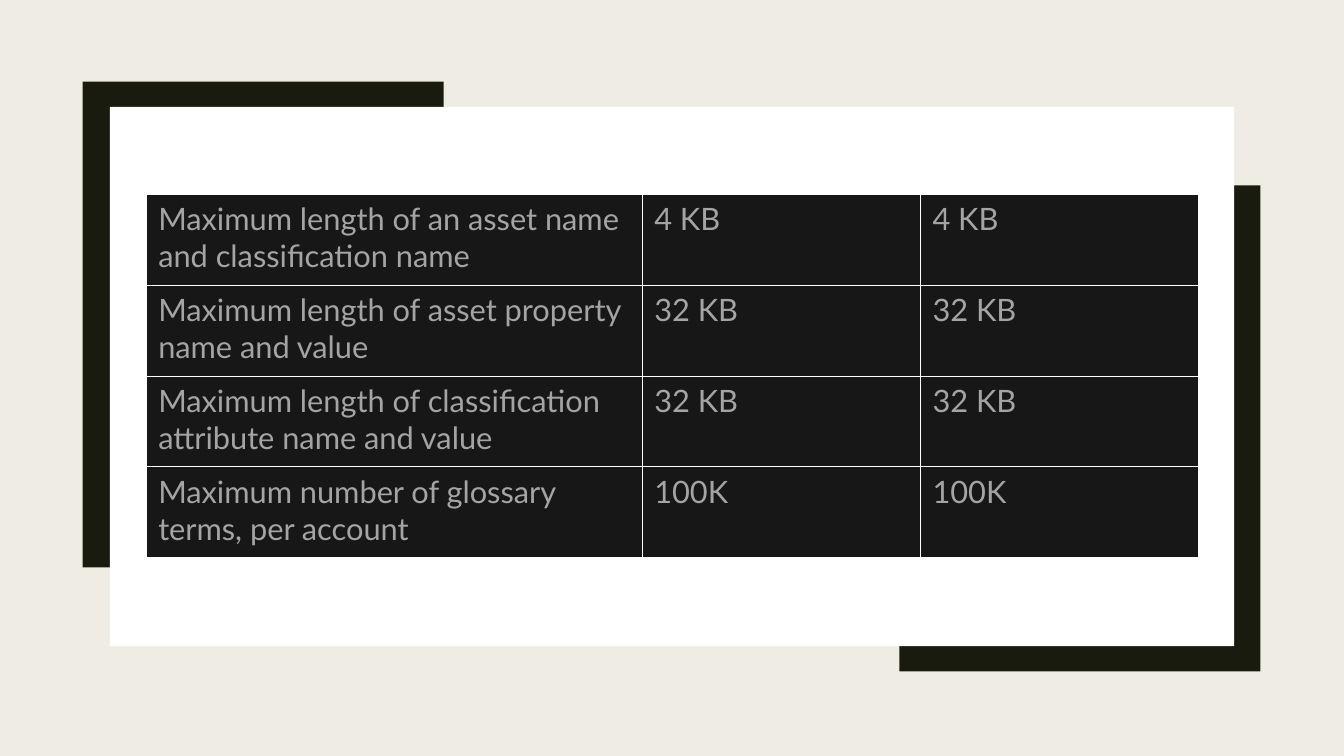
import pptx
import pptx.dml.color
import pptx.enum.shapes
import pptx.util
from lxml import etree
from pptx.oxml.ns import qn

Inches = pptx.util.Inches
Pt = pptx.util.Pt

SAND, INK, WHITE = "EFEDE3", "191B0E", "FFFFFF"
CELL, GREY = "171717", "A4A4A4"
LIMITS = [
    ("Maximum length of an asset name and classification name", "4 KB", "4 KB"),
    ("Maximum length of asset property name and value", "32 KB", "32 KB"),
    ("Maximum length of classification attribute name and value", "32 KB", "32 KB"),
    ("Maximum number of glossary terms, per account", "100K", "100K"),
]
COLUMN_SHARES = (4.92, 2.76, 2.76)


def paint(fill, colour):
    fill.solid()
    fill.fore_color.rgb = pptx.dml.color.RGBColor.from_string(colour)


def finish(sp, colour):
    sp.shadow.inherit = False
    paint(sp.fill, colour)
    sp.line.fill.background()


def add_bracket(s, x, y, direction):
    """Draw an L-shaped bracket from its outer corner; direction is 1 or -1."""
    width, height, side, bar = 3.58, 4.82, 0.45, 0.42
    outline = [(0, 0), (width, 0), (width, bar), (side, bar), (side, height), (0, height)]
    points = [(Inches(x + direction * dx), Inches(y + direction * dy)) for dx, dy in outline]
    builder = s.shapes.build_freeform(*points[0])
    builder.add_line_segments(points[1:], close=True)
    finish(builder.convert_to_shape(), INK)


def add_panel(s, x, y, w, h):
    """White panel held by two corner brackets."""
    add_bracket(s, x + w + 0.26, y + h + 0.25, -1)
    add_bracket(s, x - 0.27, y - 0.25, 1)
    sp = s.shapes.add_shape(pptx.enum.shapes.MSO_SHAPE.RECTANGLE,
                            Inches(x), Inches(y), Inches(w), Inches(h))
    finish(sp, WHITE)


def add_borders(cell, colour, width):
    tcPr = cell._tc.get_or_add_tcPr()
    for side in ("a:lnL", "a:lnR", "a:lnT", "a:lnB"):
        ln = etree.SubElement(tcPr, qn(side), w=str(Pt(width)))
        solid = etree.SubElement(ln, qn("a:solidFill"))
        etree.SubElement(solid, qn("a:srgbClr"), val=colour)


def fill_cell(cell, text):
    add_borders(cell, WHITE, 0.75)
    paint(cell.fill, CELL)
    cell.margin_left = cell.margin_right = Inches(0.12)
    cell.margin_top = cell.margin_bottom = Inches(0.06)
    cell.text = text
    font = cell.text_frame.paragraphs[0].font
    font.name, font.size, font.bold = "Lato", Pt(22), False
    font.color.rgb = pptx.dml.color.RGBColor.from_string(GREY)


def add_limits_table(s, x, y, w, h):
    frame = s.shapes.add_table(len(LIMITS), len(COLUMN_SHARES),
                               Inches(x), Inches(y), Inches(w), Inches(h))
    table = frame.table
    table.first_row = table.horz_banding = False
    for column, share in zip(table.columns, COLUMN_SHARES):
        column.width = Inches(w * share / sum(COLUMN_SHARES))
    for row, texts in zip(table.rows, LIMITS):
        row.height = Inches(h / len(LIMITS))
        for cell, text in zip(row.cells, texts):
            fill_cell(cell, text)


def main():
    prs = pptx.Presentation()
    prs.slide_width, prs.slide_height = Inches(13.33), Inches(7.5)
    s = prs.slides.add_slide(prs.slide_layouts[6])
    paint(s.background.fill, SAND)
    add_panel(s, 1.09, 1.06, 11.15, 5.35)
    add_limits_table(s, 1.45, 1.93, 10.44, 3.6)
    prs.save("out.pptx")


if __name__ == "__main__":
    main()
